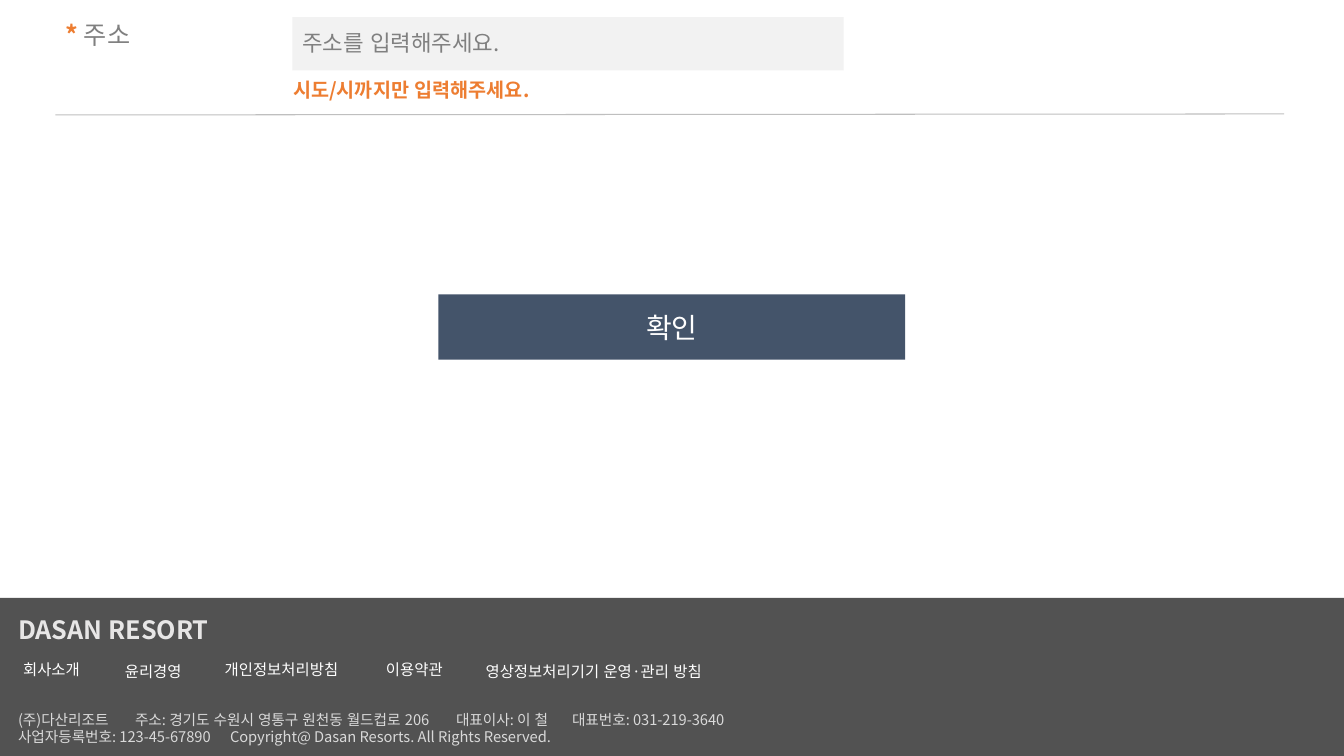
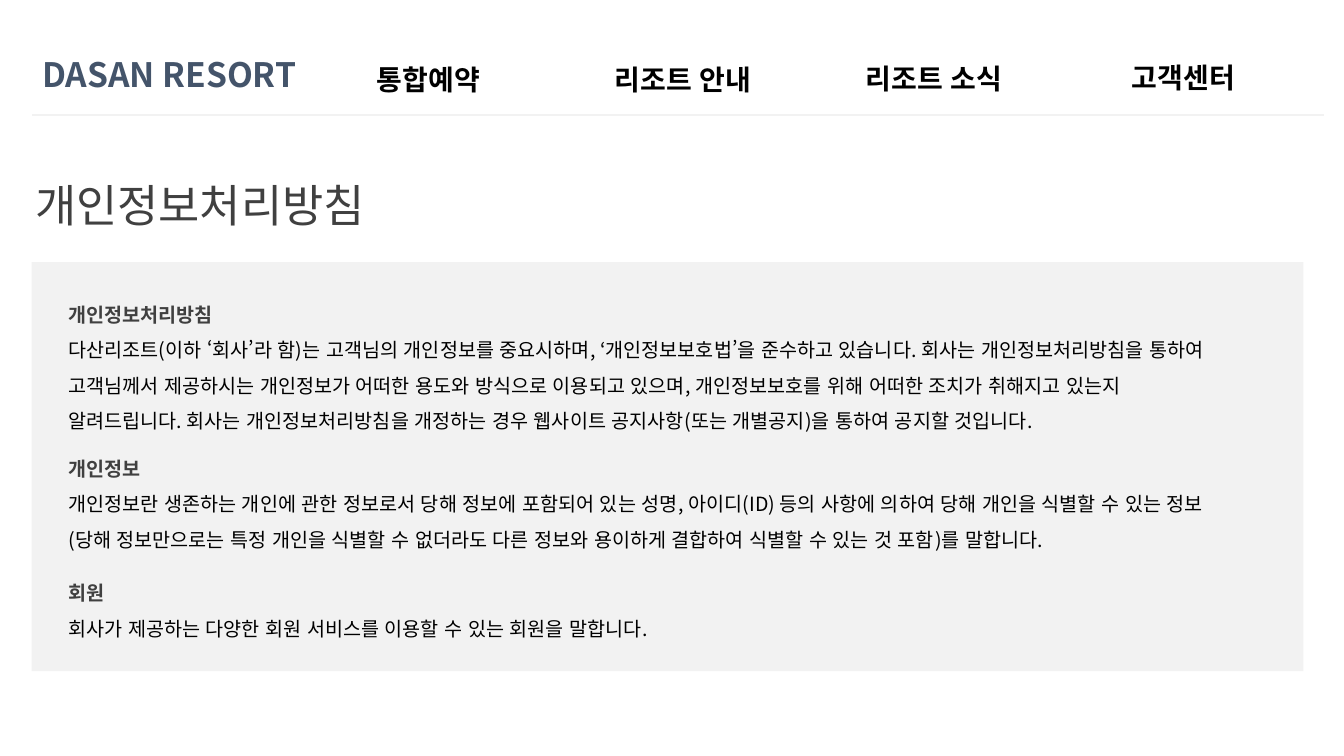
from dataclasses import dataclass
from typing import NamedTuple

from lxml.etree import SubElement
from pptx import Presentation
from pptx.dml.color import RGBColor
from pptx.enum.lang import MSO_LANGUAGE_ID
from pptx.enum.shapes import MSO_CONNECTOR, MSO_SHAPE
from pptx.enum.text import MSO_ANCHOR, MSO_AUTO_SIZE, PP_ALIGN
from pptx.oxml.ns import qn
from pptx.shapes.autoshape import Shape
from pptx.slide import Slide
from pptx.text.text import TextFrame
from pptx.util import Pt


class TextStyle(NamedTuple):
    size: float
    color: str
    bold: bool = False


class Box(NamedTuple):
    left: float
    top: float
    width: float
    height: float


class Span(NamedTuple):
    text: str
    style: TextStyle


class Label(NamedTuple):
    text: str
    box: Box


class Section(NamedTuple):
    heading: str
    body: str
    top: float
    height: float


@dataclass(frozen=True)
class Theme:
    font: str = "Noto Sans CJK KR"
    # Colours
    navy: str = "44546A"
    panel: str = "F2F2F2"
    rule: str = "BFBFBF"
    charcoal: str = "404040"
    # Text styles
    required: TextStyle = TextStyle(18, "ED7D31", True)
    field: TextStyle = TextStyle(18, "808080")
    prompt: TextStyle = TextStyle(16, "808080")
    hint: TextStyle = TextStyle(14, "ED7D31", True)
    button: TextStyle = TextStyle(20, "FFFFFF")
    footer_brand: TextStyle = TextStyle(18, "E7E6E6", True)
    footer_link: TextStyle = TextStyle(11, "FFFFFF")
    address: TextStyle = TextStyle(10.5, "D9D9D9")
    header_brand: TextStyle = TextStyle(24, "44546A", True)
    menu: TextStyle = TextStyle(20, "000000", True)
    title: TextStyle = TextStyle(32, "404040")
    heading: TextStyle = TextStyle(14, "404040", True)
    body: TextStyle = TextStyle(14, "000000")


THEME = Theme()
SLIDE_WIDTH, SLIDE_HEIGHT = 960, 540
BRAND = "DASAN RESORT"
POLICY = "개인정보처리방침"
RULE_TOP = 82.1

FOOTER_LINKS = [
    Label("회사소개", Box(9.4, 468, 69.8, 20.9)),
    Label("윤리경영", Box(82.1, 469.4, 69.8, 20.9)),
    Label(POLICY, Box(153.4, 468, 105.8, 20.9)),
    Label("이용약관", Box(268.6, 468, 105.8, 20.9)),
    Label("영상정보처리기기 운영·관리 방침", Box(339.8, 469.4, 208.8, 20.9)),
]
ADDRESS_LINES = [
    (["(주)다산리조트", "주소: 경기도 수원시 영통구 원천동 월드컵로 206",
      "대표이사: 이 철", "대표번호: 031-219-3640"], [83.6, 312.9, 395.7]),
    (["사업자등록번호: 123-45-67890",
      "Copyright@ Dasan Resorts. All Rights Reserved."], [151.4]),
]
MENU = [
    Label("통합예약", Box(262.1, 41, 131, 31.7)),
    Label("리조트 안내", Box(432, 41, 167.8, 31.7)),
    Label("리조트 소식", Box(611.3, 40.3, 167.8, 31.7)),
    Label("고객센터", Box(801.4, 39.6, 126, 31.7)),
]
SECTIONS = [
    Section(POLICY,
            "다산리조트(이하 ‘회사’라 함)는 고객님의 개인정보를 중요시하며, ‘개인정보보호법’을 "
            "준수하고 있습니다. 회사는 개인정보처리방침을 통하여 고객님께서 제공하시는 개인정보가 "
            "어떠한 용도와 방식으로 이용되고 있으며, 개인정보보호를 위해 어떠한 조치가 취해지고 "
            "있는지 알려드립니다. 회사는 개인정보처리방침을 개정하는 경우 웹사이트 "
            "공지사항(또는 개별공지)을 통하여 공지할 것입니다.", 204.5, 108.7),
    Section("개인정보",
            "개인정보란 생존하는 개인에 관한 정보로서 당해 정보에 포함되어 있는 성명, 아이디(ID) "
            "등의 사항에 의하여 당해 개인을 식별할 수 있는 정보(당해 정보만으로는 특정 개인을 "
            "식별할 수 없더라도 다른 정보와 용이하게 결합하여 식별할 수 있는 것 포함)를 말합니다.",
            314.6, 83.5),
    Section("회원", "회사가 제공하는 다양한 회원 서비스를 이용할 수 있는 회원을 말합니다.",
            403.2, 58.3),
]


def points(values: tuple) -> list:
    return [Pt(value) for value in values]


def write(frame: TextFrame, paragraphs: list[list[Span]], **layout) -> None:
    """Fill a frame; layout values apply to every paragraph."""
    for index, spans in enumerate(paragraphs):
        paragraph = frame.add_paragraph() if index else frame.paragraphs[0]
        for attribute, value in layout.items():
            setattr(paragraph, attribute, value)
        for span in spans:
            run = paragraph.add_run()
            run.text = span.text
            formats = {"name": THEME.font, "size": Pt(span.style.size),
                       "bold": span.style.bold,
                       "language_id": MSO_LANGUAGE_ID.KOREAN}
            for attribute, value in formats.items():
                setattr(run.font, attribute, value)
            run.font.color.rgb = RGBColor.from_string(span.style.color)
            SubElement(run.font._element, qn("a:ea"), typeface=THEME.font)


def add_text(slide: Slide, box: Box, paragraphs: list[list[Span]], **layout) -> TextFrame:
    frame = slide.shapes.add_textbox(*points(box)).text_frame
    for attribute, value in {"word_wrap": True,
                             "auto_size": MSO_AUTO_SIZE.SHAPE_TO_FIT_TEXT}.items():
        setattr(frame, attribute, value)
    write(frame, paragraphs, **layout)
    return frame


def add_label(slide: Slide, label: Label, style: TextStyle) -> None:
    add_text(slide, label.box, [[Span(label.text, style)]])


def add_block(slide: Slide, box: Box, color: str) -> Shape:
    block = slide.shapes.add_shape(MSO_SHAPE.RECTANGLE, *points(box))
    block.shadow.inherit = False
    block.fill.solid()
    block.fill.fore_color.rgb = RGBColor.from_string(color)
    block.line.fill.background()
    return block


def add_rule(slide: Slide, ends: tuple, color: str, weight: float) -> None:
    rule = slide.shapes.add_connector(MSO_CONNECTOR.STRAIGHT, *points(ends))
    rule.line.color.rgb = RGBColor.from_string(color)
    rule.line.width = Pt(weight)
    SubElement(rule._element.spPr, qn("a:effectLst"))


def add_footer(slide: Slide) -> None:
    band = add_block(slide, Box(0, 427, SLIDE_WIDTH, 113), THEME.charcoal)
    tint = band.fill._xPr.find(qn("a:solidFill"))[0]
    SubElement(tint, qn("a:alpha"), val="90000")
    add_label(slide, Label(BRAND, Box(5.8, 435.6, 205.2, 28.8)), THEME.footer_brand)

    # Company details, set out on tab stops
    address = add_text(slide, Box(5.8, 504, 666, 33.8),
                       [[Span("\t".join(parts), THEME.address)]
                        for parts, _ in ADDRESS_LINES])
    for paragraph, (_, stops) in zip(address.paragraphs, ADDRESS_LINES):
        tabs = SubElement(paragraph._p.get_or_add_pPr(), qn("a:tabLst"))
        for stop in stops:
            SubElement(tabs, qn("a:tab"), pos=str(int(Pt(stop))), algn="l")

    for link in FOOTER_LINKS:
        add_label(slide, link, THEME.footer_link)


def add_header(slide: Slide) -> None:
    add_label(slide, Label(BRAND, Box(23, 35.3, 205.2, 36)), THEME.header_brand)
    for item in MENU:
        add_label(slide, item, THEME.menu)
    add_rule(slide, (23, RULE_TOP, 946, RULE_TOP), THEME.panel, 1.5)


def build_address_form(slide: Slide) -> None:
    # Address field
    add_text(slide, Box(39.6, 10.1, 128.2, 28.8),
             [[Span("* ", THEME.required), Span("주소", THEME.field)]])
    add_rule(slide, (39.6, RULE_TOP, 917.3, 81.4), THEME.rule, 0.75)
    add_block(slide, Box(208.8, 12.2, 393.8, 38.2), THEME.panel)
    add_label(slide, Label("주소를 입력해주세요.", Box(208.8, 17.3, 324.7, 26.6)),
              THEME.prompt)
    add_label(slide, Label("시도/시까지만 입력해주세요.", Box(202.3, 51.8, 347, 24.5)),
              THEME.hint)

    # Confirm button
    confirm = add_block(slide, Box(313.2, 210.2, 333.4, 46.8), THEME.navy)
    confirm.text_frame.vertical_anchor = MSO_ANCHOR.MIDDLE
    write(confirm.text_frame, [[Span("확인", THEME.button)]], alignment=PP_ALIGN.CENTER)

    add_footer(slide)


def build_privacy_policy(slide: Slide) -> None:
    add_label(slide, Label(POLICY, Box(18, 123.1, 277.9, 46.1)), THEME.title)

    # Policy sections
    add_block(slide, Box(22.5, 187.2, 908.6, 292.3), THEME.panel)
    for section in SECTIONS:
        add_text(slide, Box(41.8, section.top, 846, section.height),
                 [[Span(section.heading, THEME.heading)],
                  [Span(section.body, THEME.body)]], line_spacing=1.5)

    add_header(slide)


def main() -> None:
    deck = Presentation()
    deck.slide_width, deck.slide_height = Pt(SLIDE_WIDTH), Pt(SLIDE_HEIGHT)
    blank = deck.slide_layouts[6]
    for build in (build_address_form, build_privacy_policy):
        build(deck.slides.add_slide(blank))
    deck.save("out.pptx")


if __name__ == "__main__":
    main()
